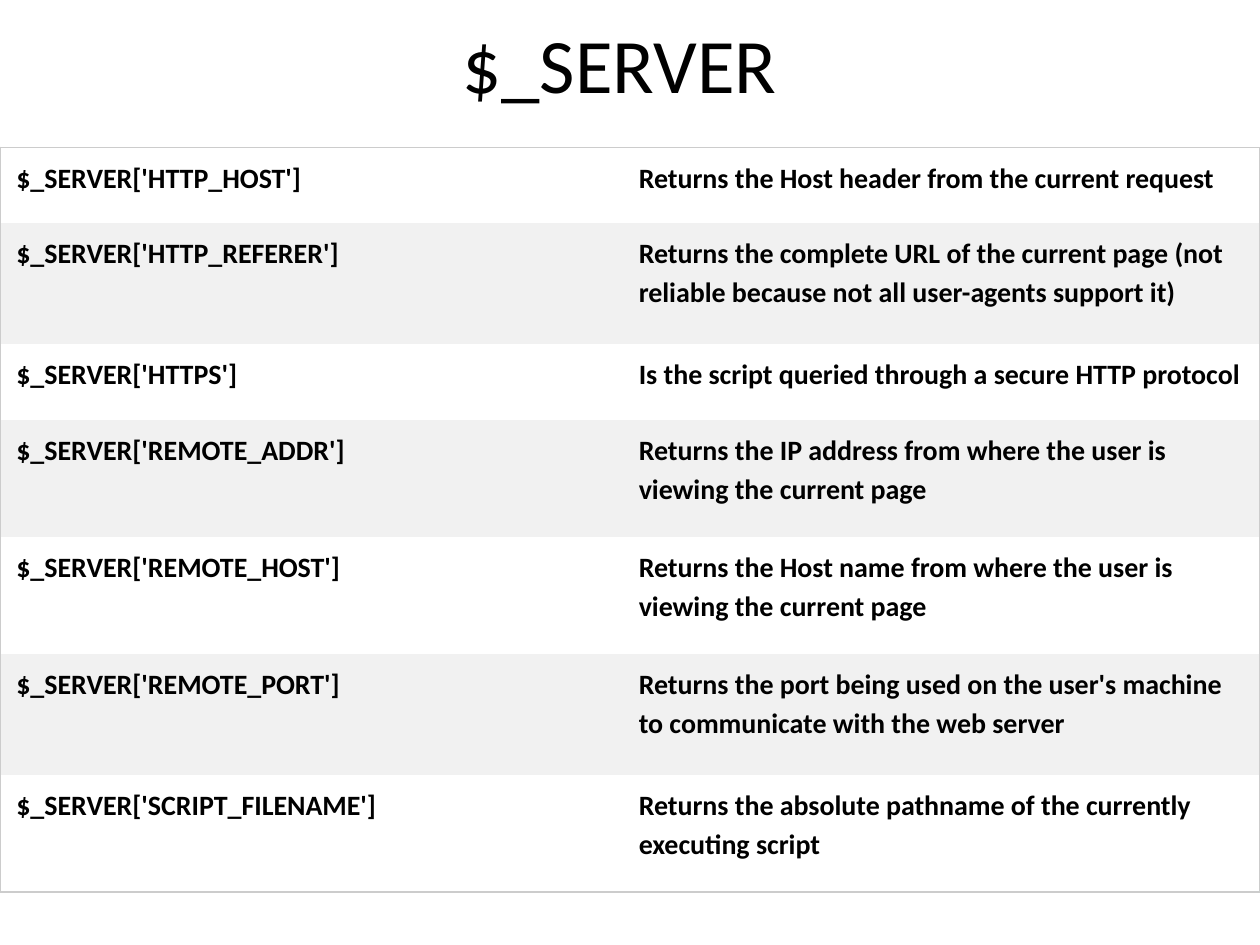
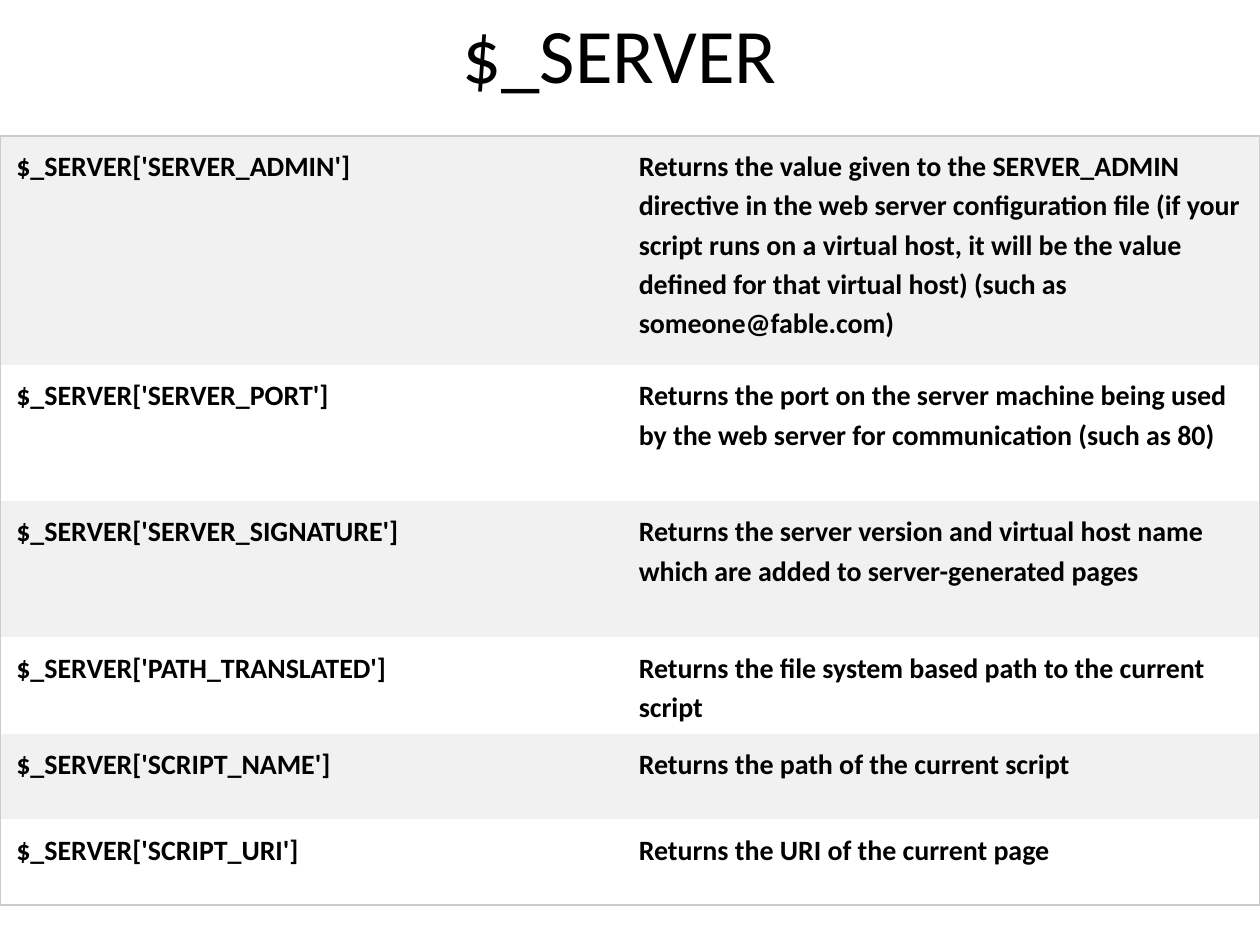
"""Build two slides that list the $_SERVER entries of PHP."""
import pptx
import pptx.util
import pptx.dml.color
import pptx.enum.text
import pptx.oxml.ns
import lxml.etree

Inches = pptx.util.Inches
Pt = pptx.util.Pt

COLORS = {"text": "000000", "white": "FFFFFF", "band": "F1F1F1", "border": "CCCCCC"}


class Deck:
    font_name = "Calibri"
    title_format = {"size": Pt(44), "bold": False}
    cell_format = {"size": Pt(16), "bold": True}
    margins = {"margin_top": Inches(0.07), "margin_right": Inches(0.07),
               "margin_bottom": Inches(0.07)}
    left_margins = (Inches(0.13), Inches(0.07))

    def __init__(self):
        self.prs = pptx.Presentation()
        self.prs.slide_width = Inches(10)
        self.prs.slide_height = Inches(7.5)
        self.slide = None

    def color(self, name):
        return pptx.dml.color.RGBColor.from_string(COLORS[name])

    def add_slide(self):
        self.slide = self.prs.slides.add_slide(self.prs.slide_layouts[5])
        fill = self.slide.background.fill
        fill.solid()
        fill.fore_color.rgb = self.color("white")

    def add_text(self, p, text, fmt):
        r = p.add_run()
        r.text = text
        r.font.name = self.font_name
        r.font.color.rgb = self.color("text")
        for key, value in fmt.items():
            setattr(r.font, key, value)

    def title(self, text, height):
        sp = self.slide.shapes.title
        box = {"left": Inches(0.42), "top": Inches(0), "width": Inches(9),
               "height": Inches(height)}
        for key, value in box.items():
            setattr(sp, key, value)
        tf = sp.text_frame
        tf.vertical_anchor = pptx.enum.text.MSO_ANCHOR.MIDDLE
        p = tf.paragraphs[0]
        p.alignment = pptx.enum.text.PP_ALIGN.CENTER
        self.add_text(p, text, self.title_format)

    def borders(self, cell, edges):
        tcPr = cell._tc.get_or_add_tcPr()
        qn = pptx.oxml.ns.qn
        for side in "LRTB":
            ln = lxml.etree.SubElement(tcPr, qn("a:ln" + side))
            if side in edges:
                ln.set("w", str(Pt(1)))
                fill = lxml.etree.SubElement(ln, qn("a:solidFill"))
                lxml.etree.SubElement(fill, qn("a:srgbClr")).set("val", COLORS["border"])
            else:
                ln.set("w", "0")
                lxml.etree.SubElement(ln, qn("a:noFill"))

    def cell(self, cell, text, left_margin, fill, edges):
        self.borders(cell, edges)
        cell.fill.solid()
        cell.fill.fore_color.rgb = self.color(fill)
        cell.margin_left = left_margin
        for key, value in self.margins.items():
            setattr(cell, key, value)
        p = cell.text_frame.paragraphs[0]
        p.line_spacing = 1.15
        self.add_text(p, text, self.cell_format)

    def table(self, top, rows, fills):
        total = sum(height for height, *_ in rows)
        table = self.slide.shapes.add_table(
            len(rows), 2, Inches(0), Inches(top), Inches(10), Inches(total)).table
        table.first_row = table.horz_banding = False
        for i, (height, entry, meaning) in enumerate(rows):
            table.rows[i].height = Inches(height)
            ends = ("T" if i == 0 else "") + ("B" if i == len(rows) - 1 else "")
            for j, text in enumerate((f"$_SERVER['{entry}']", meaning)):
                self.cell(table.cell(i, j), text, self.left_margins[j],
                          fills[i % 2], "LR"[j] + ends)


REQUEST_ROWS = [
    (0.6, "HTTP_HOST", "Returns the Host header from the current request"),
    (0.96, "HTTP_REFERER", "Returns the complete URL of the current page "
     "(not reliable because not all user-agents support it)"),
    (0.6, "HTTPS", "Is the script queried through a secure HTTP protocol"),
    (0.93, "REMOTE_ADDR",
     "Returns the IP address from where the user is viewing the current page"),
    (0.93, "REMOTE_HOST",
     "Returns the Host name from where the user is viewing the current page"),
    (0.96, "REMOTE_PORT", "Returns the port being used on the user's machine "
     "to communicate with the web server"),
    (0.93, "SCRIPT_FILENAME",
     "Returns the absolute pathname of the currently executing script"),
]

SERVER_ROWS = [
    (1.82, "SERVER_ADMIN", "Returns the value given to the SERVER_ADMIN directive "
     "in the web server configuration file (if your script runs on a virtual host, "
     "it will be the value defined for that virtual host) (such as someone@fable.com)"),
    (1.08, "SERVER_PORT", "Returns the port on the server machine being used "
     "by the web server for communication (such as 80)"),
    (1.08, "SERVER_SIGNATURE", "Returns the server version and virtual host name "
     "which are added to server-generated pages"),
    (0.68, "PATH_TRANSLATED", "Returns the file system based path to the current script"),
    (0.68, "SCRIPT_NAME", "Returns the path of the current script"),
    (0.68, "SCRIPT_URI", "Returns the URI of the current page"),
]

SLIDES = [
    (1, 1.17, REQUEST_ROWS, ("white", "band")),
    (0.83, 1.08, SERVER_ROWS, ("band", "white")),
]

deck = Deck()
for title_height, table_top, rows, fills in SLIDES:
    deck.add_slide()
    deck.title("$_SERVER", title_height)
    deck.table(table_top, rows, fills)
deck.prs.save("out.pptx")
